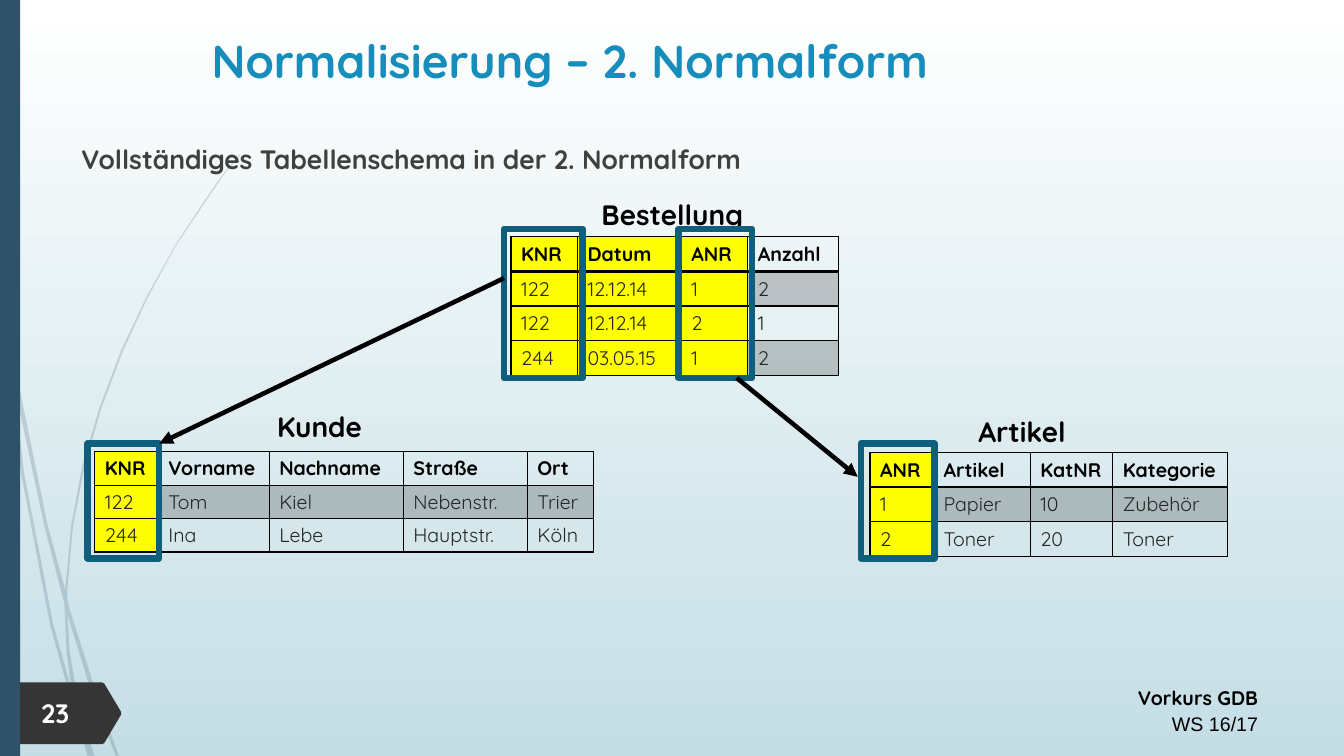
from lxml import etree
from pptx import Presentation
from pptx.dml.color import RGBColor
from pptx.enum import shapes as s, text as t
from pptx.oxml.ns import qn
from pptx.util import Pt

deck = Presentation()
deck.slide_width, deck.slide_height = Pt(960), Pt(540)
slide = deck.slides.add_slide(deck.slide_layouts[5])
items = slide.shapes


def paint(fill, tone, alpha=100):
    fill.solid()
    fill.fore_color.rgb = RGBColor.from_string(tone)
    if alpha < 100:
        node = fill._xPr.find(qn("a:solidFill"))[0]
        etree.SubElement(node, qn("a:alpha"), val=str(alpha * 1000))


def write(text, box=None, frame=None, size=14, tone="000000", bold=True,
          font="Quicksand", align=t.PP_ALIGN.LEFT, space=None, more=False):
    if frame is None:
        frame = items.add_textbox(*[Pt(v) for v in box]).text_frame
    frame.word_wrap = True
    frame.vertical_anchor = t.MSO_ANCHOR.TOP
    para = frame.add_paragraph() if more else frame.paragraphs[0]
    para.alignment, para.line_spacing = align, space
    run = para.add_run()
    run.text = text
    run.font.size, run.font.bold, run.font.name = Pt(size), bold, font
    paint(run.font.fill, tone)
    return frame


# Background
back = slide.background.fill
back.gradient()
back.gradient_angle = 270
for stop, tone in zip(back.gradient_stops, ["FFFFFF", "C5DEE5"]):
    stop.color.rgb = RGBColor.from_string(tone)

# Curved wisps and the page tag
wisps = [
    [(5.8, 252), (4.3, 232), (0, 203), (0, 215), (5.8, 248)],
    [(31.7, 376), (46, 431), (46.8, 422), (33.8, 374), (7.9, 248), (9.4, 271)],
    [(50.4, 437), (48.2, 429), (48.2, 439), (67, 500), (82.8, 540), (85, 540),
     (69.8, 498)],
    [(65.5, 540), (67.7, 540), (57.6, 512)],
    [(51, 492), (38, 446), (17.3, 338), (9.4, 271), (5.8, 252), (15, 338),
     (36, 447), (50.4, 499), (55.4, 514), (54, 509)],
    [(46, 431), (47.5, 465), (51, 492), (52.6, 498), (57.6, 512), (56.9, 508),
     (49.7, 465), (48.2, 439)],
    [(48.2, 420), (52.2, 375.8), (60.5, 333), (72.5, 291.2), (87.8, 251),
     (105.5, 212.8), (125.3, 176), (147.6, 143), (159, 126), (171.4, 111),
     (171.4, 110), (158, 126), (147, 142), (124.6, 176), (104.6, 212.2),
     (86.4, 250.5), (71.2, 290.8), (59, 332), (50.8, 375.6), (46.8, 420),
     (46.8, 422), (48.2, 429)],
    [(55.4, 514), (62.6, 540), (64.8, 540)],
    [(48.2, 438), (48.2, 429), (46.8, 422), (46, 431)],
    [(53.3, 498), (51, 492), (54, 509), (55.4, 514), (64.8, 540), (65.5, 540),
     (57.6, 512)],
]
tag = [(0, 487.5), (73, 487.5), (74.5, 488.3), (86.5, 508.5), (86.5, 510.5),
       (74.5, 530.8), (73, 531.5), (0, 531.5)]
looks = [(wisp, "2E5369", 20) for wisp in wisps] + [(tag, "353535", 100)]
for spots, tone, alpha in looks:
    spots = [(x * 10, y * 10) for x, y in spots]
    pen = items.build_freeform(*spots[0], scale=Pt(0.1))
    pen.add_line_segments(spots[1:], close=True)
    form = pen.convert_to_shape()
    form.shadow.inherit = False
    form.line.fill.background()
    paint(form.fill, tone, alpha)

# Side bar
bar = items.add_shape(s.MSO_SHAPE.RECTANGLE, 0, 0, Pt(14.4), Pt(540))
bar.shadow.inherit = False
bar.line.fill.background()
paint(bar.fill, "2E5369")

# Title, lead line, footer and page number
title = items.title
title.left, title.top, title.width, title.height = [
    Pt(v) for v in (84.2, 19.4, 645.8, 58.3)]
write("Normalisierung – 2. Normalform", frame=title.text_frame, size=33,
      tone="178DBB", align=t.PP_ALIGN.CENTER)
write("Vollständiges Tabellenschema in der 2. Normalform", (51, 98.3, 850, 32),
      size=19, tone="404040")
foot = write("Vorkurs GDB", (531.4, 483.8, 374.4, 46), align=t.PP_ALIGN.RIGHT,
             space=1.14)
write("WS 16/17", frame=foot, font="Arial", bold=False,
      align=t.PP_ALIGN.RIGHT, space=1.14, more=True)
write("23", (22.3, 494, 50.4, 30), size=19, tone="FFFFFF")

# Tables: name, name spot, table spot, widths, key columns, padding, rule, rows
tables = [
    ("Bestellung", (348.5, 137.5), (365, 169.2), (47.5, 74.2, 47.5, 64.8),
     3, 3.6, 2,
     ["KNR Datum ANR Anzahl", "122 12.12.14 1 2", "122 12.12.14 2 1",
      "244 03.05.15 1 2"]),
    ("Artikel", (598.3, 292.3), (621.4, 323.3), (45.4, 69.1, 59, 82.1),
     1, 3.6, 2,
     ["ANR Artikel KatNR Kategorie", "1 Papier 10 Zubehör",
      "2 Toner 20 Toner"]),
    ("Kunde", (96.5, 288.7), (67.7, 322.6), (45.4, 79.2, 95.8, 88.6, 47.5),
     1, 3.2, 1,
     ["KNR Vorname Nachname Straße Ort", "122 Tom Kiel Nebenstr. Trier",
      "244 Ina Lebe Hauptstr. Köln"]),
]
for name, spot, place, widths, keys, pad, rule, rows in tables:
    high = 17.5 + 2 * pad
    grid = items.add_table(len(rows), len(widths), *[
        Pt(v) for v in (*place, sum(widths), high * len(rows))]).table
    grid.first_row = grid.horz_banding = False
    for col, wide in zip(grid.columns, widths):
        col.width = Pt(wide)
    for r, row in enumerate(rows):
        grid.rows[r].height = Pt(high)
        for c, word in enumerate(row.split()):
            cell = grid.cell(r, c)
            cell.margin_top = cell.margin_bottom = Pt(pad)
            write(word, frame=cell.text_frame, bold=r == 0,
                  tone="262626" if r else "000000")
            props = cell._tc.get_or_add_tcPr()
            for side in "LRTB":
                thick = (r, side) in [(0, "B"), (1, "T")]
                edge = etree.SubElement(props, qn("a:ln" + side),
                                        w=str(Pt(rule if thick else 1)))
                ink = etree.SubElement(edge, qn("a:solidFill"))
                etree.SubElement(ink, qn("a:srgbClr"), val="000000")
            if c < keys:
                paint(cell.fill, "FFFF00")
            elif r % 2:
                paint(cell.fill, "000000", 20)
            else:
                cell.fill.background()
    write(name, (*spot, 263.5, 31.7), size=20, align=t.PP_ALIGN.CENTER)

# Frames around the key columns
for box in [(360, 163.4, 56.2, 106.6), (62.6, 316.8, 51.1, 82.1),
            (484.6, 163.4, 52.6, 106.6), (614.9, 316.8, 52.6, 82.1)]:
    key = items.add_shape(s.MSO_SHAPE.RECTANGLE, *[Pt(v) for v in box])
    key.shadow.inherit = False
    key.fill.background()
    paint(key.line.fill, "0F5E7C")
    key.line.width = Pt(4.5)

# Arrows from foreign key to primary key
for ends in [(360, 198.7, 113.8, 316.8), (526.3, 270, 612.7, 340.6)]:
    link = items.add_connector(s.MSO_CONNECTOR.STRAIGHT, *[Pt(v) for v in ends])
    paint(link.line.fill, "000000")
    link.line.width = Pt(3.25)
    etree.SubElement(link.line._get_or_add_ln(), qn("a:tailEnd"), type="triangle")
    etree.SubElement(link._element.spPr, qn("a:effectLst"))

deck.save("out.pptx")
